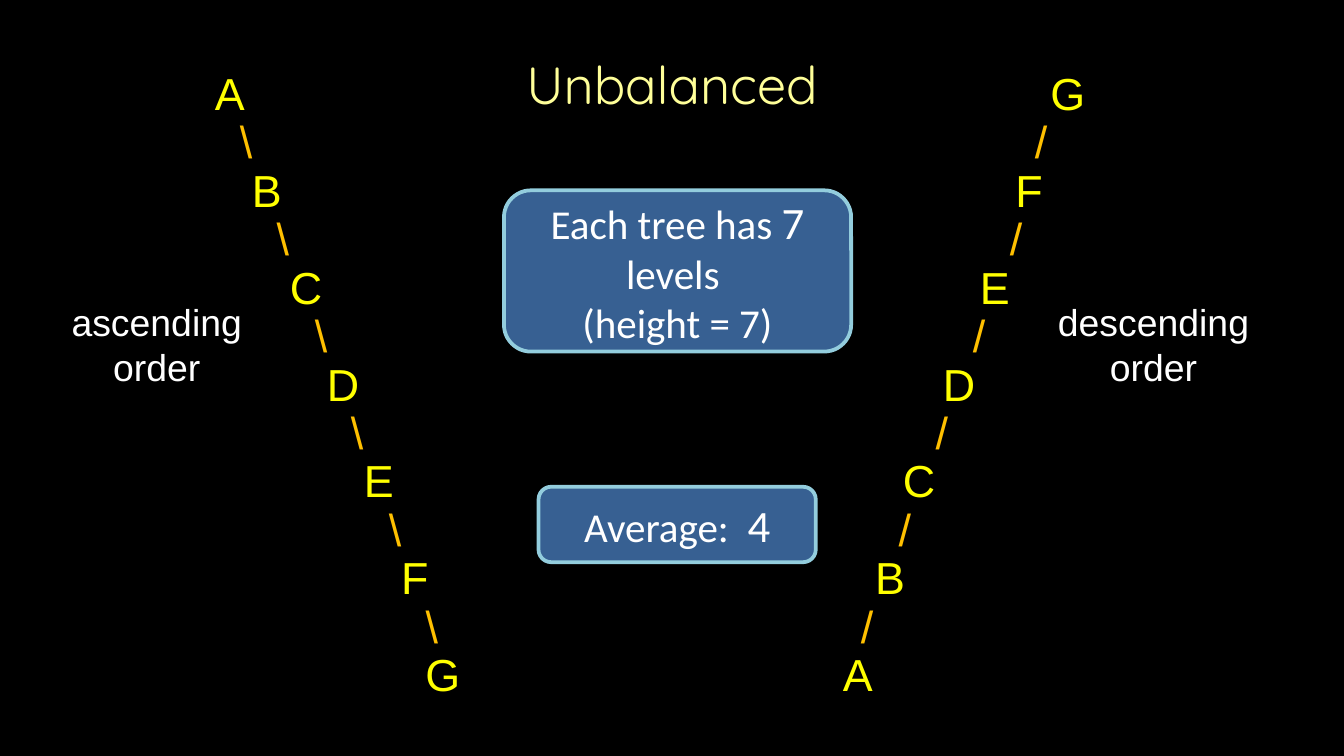
from lxml import etree
from pptx import Presentation
from pptx.dml.color import RGBColor
from pptx.enum import shapes, text
from pptx.oxml import ns
from pptx.util import Pt

BLACK = RGBColor(0x00, 0x00, 0x00)
WHITE = RGBColor(0xFF, 0xFF, 0xFF)
YELLOW = RGBColor(0xFF, 0xFF, 0x00)
ORANGE = RGBColor(0xFF, 0xC0, 0x00)
CREAM = RGBColor(0xFF, 0xFF, 0x99)
BLUE = RGBColor(0x37, 0x60, 0x92)
LIGHT_BLUE = RGBColor(0x93, 0xCD, 0xDD)

TREE_ROWS = [
    ("A", 123.2, "G", 572.1),
    ("\\", 131.8, "/", 557.7),
    ("B", 143, "F", 551.3),
    ("\\", 151.6, "/", 544.3),
    ("C", 163.9, "E", 533),
    ("\\", 172, "/", 524.5),
    ("D", 183.8, "D", 513.8),
    ("\\", 191.3, "/", 504.6),
    ("E", 203, "C", 492.3),
    ("\\", 211.6, "/", 484.8),
    ("F", 222.3, "B", 476.8),
    ("\\", 231.4, "/", 464.5),
    ("G", 237.3, "A", 459.6),
]


class SlideBuilder:
    body_font = "Arial"
    title_font = "Quicksand"
    callout_font = "Calibri"

    def __init__(self, presentation):
        self.slide = presentation.slides.add_slide(presentation.slide_layouts[5])
        self.slide.background.fill.solid()
        self.slide.background.fill.fore_color.rgb = BLACK

    def style(self, paragraph, name, size, color):
        paragraph.font.name = name
        paragraph.font.size = Pt(size)
        paragraph.font.color.rgb = color

    def title(self, words, left, top, width, height):
        shape = self.slide.shapes.title
        shape.left, shape.top, shape.width, shape.height = map(Pt, (left, top, width, height))
        shape.text_frame.text = words
        shape.text_frame.vertical_anchor = text.MSO_ANCHOR.MIDDLE
        paragraph = shape.text_frame.paragraphs[0]
        paragraph.alignment = text.PP_ALIGN.CENTER
        self.style(paragraph, self.title_font, 28, CREAM)

    def trees(self, rows, left, top, width, height):
        shape = self.slide.shapes.add_textbox(*map(Pt, (left, top, width, height)))
        frame = shape.text_frame
        frame.word_wrap = True
        frame.margin_left = frame.margin_right = 0
        frame.text = "\n".join(f"\t{first}\t{second}" for first, _, second, _ in rows)
        for paragraph, (first, first_x, _, second_x) in zip(frame.paragraphs, rows):
            paragraph.line_spacing = Pt(25.94)
            self.style(paragraph, self.body_font, 24, ORANGE if first == "\\" else YELLOW)
            self.center_tabs(paragraph, first_x - left, second_x - left)

    def center_tabs(self, paragraph, *positions):
        tabs = etree.Element(ns.qn("a:tabLst"))
        for position in positions:
            etree.SubElement(tabs, ns.qn("a:tab"), pos=str(int(Pt(position))), algn="ctr")
        properties = paragraph._p.get_or_add_pPr()
        properties.find(ns.qn("a:defRPr")).addprevious(tabs)

    def box(self, kind, fill, left, top, width, height):
        shape = self.slide.shapes.add_shape(kind, *map(Pt, (left, top, width, height)))
        shape.shadow.inherit = False
        shape.fill.solid()
        shape.fill.fore_color.rgb = fill
        shape.line.fill.background()
        shape.text_frame.word_wrap = True
        shape.text_frame.vertical_anchor = text.MSO_ANCHOR.MIDDLE
        return shape

    def centered_lines(self, shape, lines, name, size):
        shape.text_frame.text = "\n".join(lines)
        for paragraph in shape.text_frame.paragraphs:
            paragraph.alignment = text.PP_ALIGN.CENTER
            self.style(paragraph, name, size, WHITE)

    def label(self, lines, *place):
        shape = self.box(shapes.MSO_SHAPE.RECTANGLE, BLACK, *place)
        self.centered_lines(shape, lines, self.body_font, 20)

    def callout(self, lead, number, tail, more_lines, *place):
        shape = self.box(shapes.MSO_SHAPE.ROUNDED_RECTANGLE, BLUE, *place)
        shape.line.color.rgb = LIGHT_BLUE
        shape.line.width = Pt(2)
        self.centered_lines(shape, [lead, *more_lines], self.callout_font, 22)
        paragraph = shape.text_frame.paragraphs[0]
        run = paragraph.add_run()
        run.text = number
        run.font.size = Pt(24)
        if tail:
            paragraph.add_run().text = tail


def main():
    presentation = Presentation()
    presentation.slide_width, presentation.slide_height = Pt(720), Pt(405)
    builder = SlideBuilder(presentation)
    builder.title("Unbalanced", 36, 10.8, 648, 67.7)
    builder.trees(TREE_ROWS, 108, 34.56, 504, 342)
    builder.label(["ascending", "order"], 24, 166.3, 120, 36)
    builder.label(["descending", "order"], 552, 166.3, 132, 36)
    builder.callout("Each tree has ", "7", " levels ", ["(height = 7)"], 270, 102, 186, 86.4)
    builder.callout("Average:  ", "4", "", [], 288.5, 260.8, 148.5, 40.4)
    presentation.save("out.pptx")


if __name__ == "__main__":
    main()
